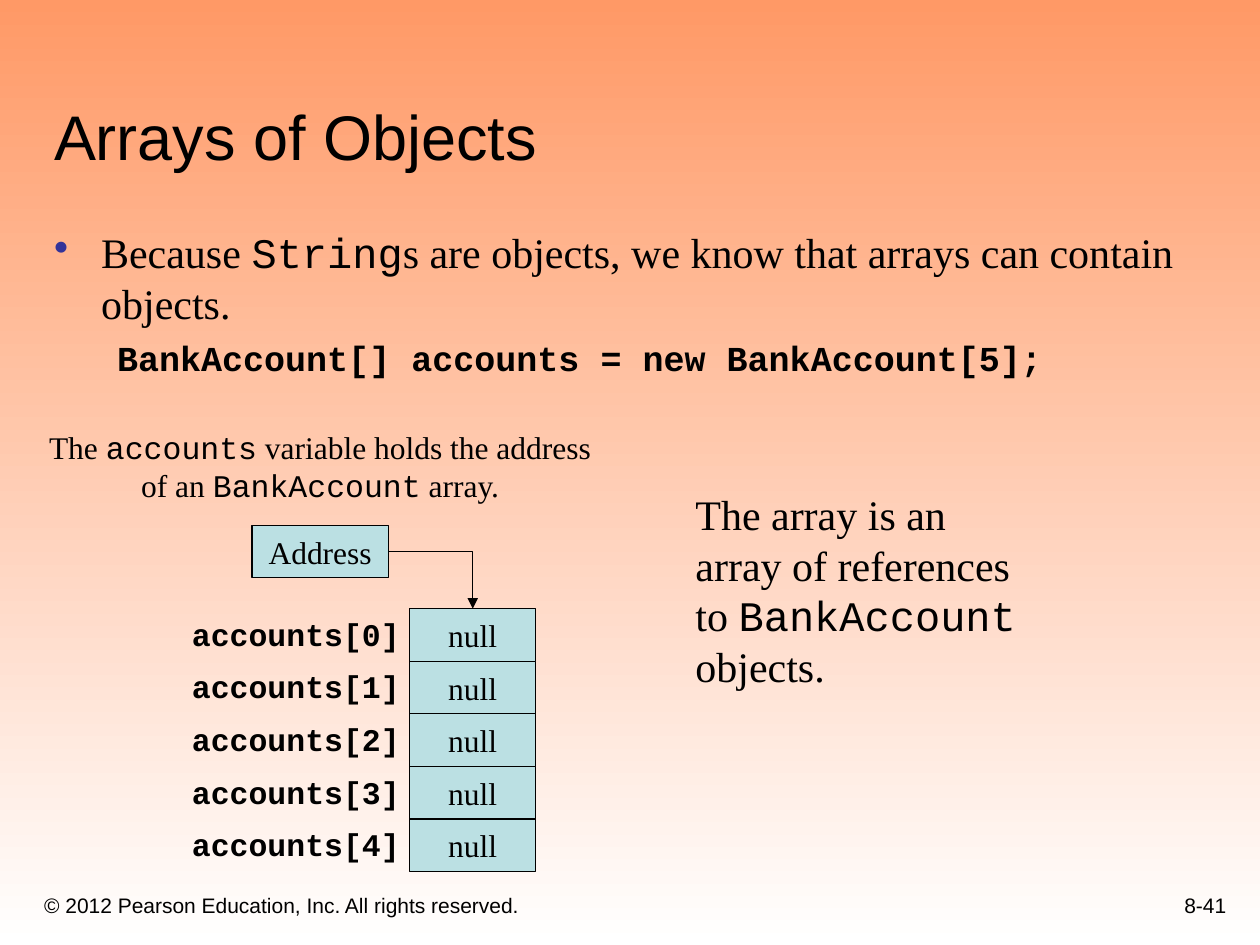
from dataclasses import dataclass

from lxml.etree import SubElement
from pptx import Presentation
from pptx.dml.color import RGBColor
from pptx.enum.shapes import MSO_CONNECTOR, MSO_SHAPE
from pptx.enum.text import MSO_ANCHOR, PP_ALIGN
from pptx.oxml.ns import qn
from pptx.util import Cm, Pt


@dataclass(frozen=True)
class Theme:
    background_top: RGBColor = RGBColor(0xFF, 0x99, 0x66)
    background_bottom: RGBColor = RGBColor(0xFF, 0xFF, 0xFF)
    ink: RGBColor = RGBColor(0x00, 0x00, 0x00)
    cell: RGBColor = RGBColor(0xBB, 0xE0, 0xE3)
    bullet: str = "333399"
    heading_font: str = "Arial"
    prose_font: str = "Times New Roman"
    code_font: str = "Courier New"
    title_size: int = 36
    body_size: int = 24
    code_size: int = 20
    diagram_size: int = 18
    footer_size: int = 12
    line_width: float = 0.75


THEME = Theme()


def style_paragraph(paragraph, size, font, bold=False, align=PP_ALIGN.LEFT):
    paragraph.alignment = align
    paragraph.font.size = Pt(size)
    paragraph.font.name = font
    paragraph.font.bold = bold
    paragraph.font.color.rgb = THEME.ink


def write_mixed(paragraph, pieces, size, align=PP_ALIGN.LEFT):
    """Write pieces that alternate between prose and code."""
    style_paragraph(paragraph, size, THEME.prose_font, align=align)
    for index, piece in enumerate(pieces):
        run = paragraph.add_run()
        run.text = piece
        run.font.name = THEME.code_font if index % 2 else THEME.prose_font


def add_text_frame(slide, box, anchor=MSO_ANCHOR.TOP, wrap=True):
    shape = slide.shapes.add_textbox(*(Cm(length) for length in box))
    frame = shape.text_frame
    frame.word_wrap = wrap
    frame.vertical_anchor = anchor
    return frame


def add_line_of_text(slide, box, text, size, font, bold=False,
                     align=PP_ALIGN.LEFT, anchor=MSO_ANCHOR.TOP):
    paragraph = add_text_frame(slide, box, anchor).paragraphs[0]
    paragraph.text = text
    style_paragraph(paragraph, size, font, bold, align)


def add_cell(slide, box, text):
    shape = slide.shapes.add_shape(MSO_SHAPE.RECTANGLE, *(Cm(length) for length in box))
    shape.shadow.inherit = False
    shape.fill.solid()
    shape.fill.fore_color.rgb = THEME.cell
    shape.line.color.rgb = THEME.ink
    shape.line.width = Pt(THEME.line_width)
    frame = shape.text_frame
    frame.word_wrap = False
    frame.vertical_anchor = MSO_ANCHOR.MIDDLE
    paragraph = frame.paragraphs[0]
    paragraph.text = text
    style_paragraph(paragraph, THEME.diagram_size, THEME.prose_font, align=PP_ALIGN.CENTER)


def add_bent_arrow(slide, start, end):
    """Draw an arrow that runs across and then down."""
    arrow = slide.shapes.add_connector(
        MSO_CONNECTOR.ELBOW, *(Cm(length) for length in (*start, *end)))
    arrow.line.color.rgb = THEME.ink
    arrow.line.width = Pt(THEME.line_width)
    properties = arrow._element.spPr
    properties.find(qn("a:prstGeom")).set("prst", "bentConnector2")
    SubElement(properties.find(qn("a:ln")), qn("a:tailEnd"), type="triangle")
    SubElement(properties, qn("a:effectLst"))


def paint_background(slide):
    fill = slide.background.fill
    fill.gradient()
    fill.gradient_angle = 270
    colors = (THEME.background_top, THEME.background_bottom)
    for stop, color in zip(fill.gradient_stops, colors):
        stop.color.rgb = color


def add_body(slide, box):
    frame = add_text_frame(slide, box)
    frame.margin_right = 0

    # Bulleted statement
    statement = frame.paragraphs[0]
    properties = statement._p.get_or_add_pPr()
    properties.set("marL", str(Cm(0.95)))
    properties.set("indent", str(-Cm(0.95)))
    SubElement(SubElement(properties, qn("a:buClr")), qn("a:srgbClr"), val=THEME.bullet)
    SubElement(properties, qn("a:buChar"), char="•")
    write_mixed(
        statement,
        ["Because ", "String", "s are objects, we know that arrays can contain objects."],
        THEME.body_size)

    # Indented declaration
    declaration = frame.add_paragraph()
    declaration.text = "BankAccount[] accounts = new BankAccount[5];"
    declaration._p.get_or_add_pPr().set("marL", str(Cm(1.27)))
    style_paragraph(declaration, THEME.code_size, THEME.code_font, bold=True)
    declaration.space_before = Pt(5)


def add_array_diagram(slide, box):
    left, top, width, height = box
    row_height, cell_width, count = 1.06, 2.54, 5
    cell_left = left + 7.52
    array_top = top + height - count * row_height

    # Caption
    caption = add_text_frame(slide, (left, top, width, 1.78), wrap=False)
    lines = (["The ", "accounts", " variable holds the address"],
             ["of an ", "BankAccount", " array."])
    write_mixed(caption.paragraphs[0], lines[0], THEME.diagram_size, PP_ALIGN.CENTER)
    write_mixed(caption.add_paragraph(), lines[1], THEME.diagram_size, PP_ALIGN.CENTER)

    # Reference variable
    address_left, address_top, address_width = left + 4.34, top + 2.08, 2.75
    add_cell(slide, (address_left, address_top, address_width, row_height), "Address")

    # Array elements with their labels
    for index in range(count):
        row_top = array_top + index * row_height
        add_cell(slide, (cell_left, row_top, cell_width, row_height), "null")
        add_line_of_text(
            slide, (left + 1.8, row_top, 5.77, 1.02), f"accounts[{index}]",
            THEME.diagram_size, THEME.code_font, bold=True, align=PP_ALIGN.RIGHT)

    add_bent_arrow(slide,
                   (address_left + address_width, address_top + row_height / 2),
                   (cell_left + cell_width / 2, array_top))


def add_remark(slide, box):
    frame = add_text_frame(slide, box)
    write_mixed(frame.paragraphs[0],
                ["The array is an array of references to ", "BankAccount", " objects."],
                THEME.body_size)


def add_footer(slide, box):
    left, top, width, height = box
    number_width = 5.28
    add_line_of_text(
        slide, (left, top, 15.44, height),
        "© 2012 Pearson Education, Inc. All rights reserved.",
        THEME.footer_size, THEME.heading_font, anchor=MSO_ANCHOR.BOTTOM)
    add_line_of_text(
        slide, (left + width - number_width, top, number_width, height), "8-41",
        THEME.footer_size, THEME.heading_font,
        align=PP_ALIGN.RIGHT, anchor=MSO_ANCHOR.BOTTOM)


def main():
    presentation = Presentation()
    presentation.slide_width = Cm(25.4)
    presentation.slide_height = Cm(19.05)
    slide = presentation.slides.add_slide(presentation.slide_layouts[6])

    paint_background(slide)
    add_line_of_text(slide, (0.84, 0.84, 23.93, 2.77), "Arrays of Objects",
                     THEME.title_size, THEME.heading_font, anchor=MSO_ANCHOR.BOTTOM)
    add_body(slide, (0.84, 4.45, 23.04, 4.09))
    add_array_diagram(slide, (0.74, 8.51, 11.43, 9.06))
    add_remark(slide, (13.77, 9.73, 6.99, 4.32))
    add_footer(slide, (0.64, 17.56, 24.33, 1.07))

    presentation.save("out.pptx")


if __name__ == "__main__":
    main()
